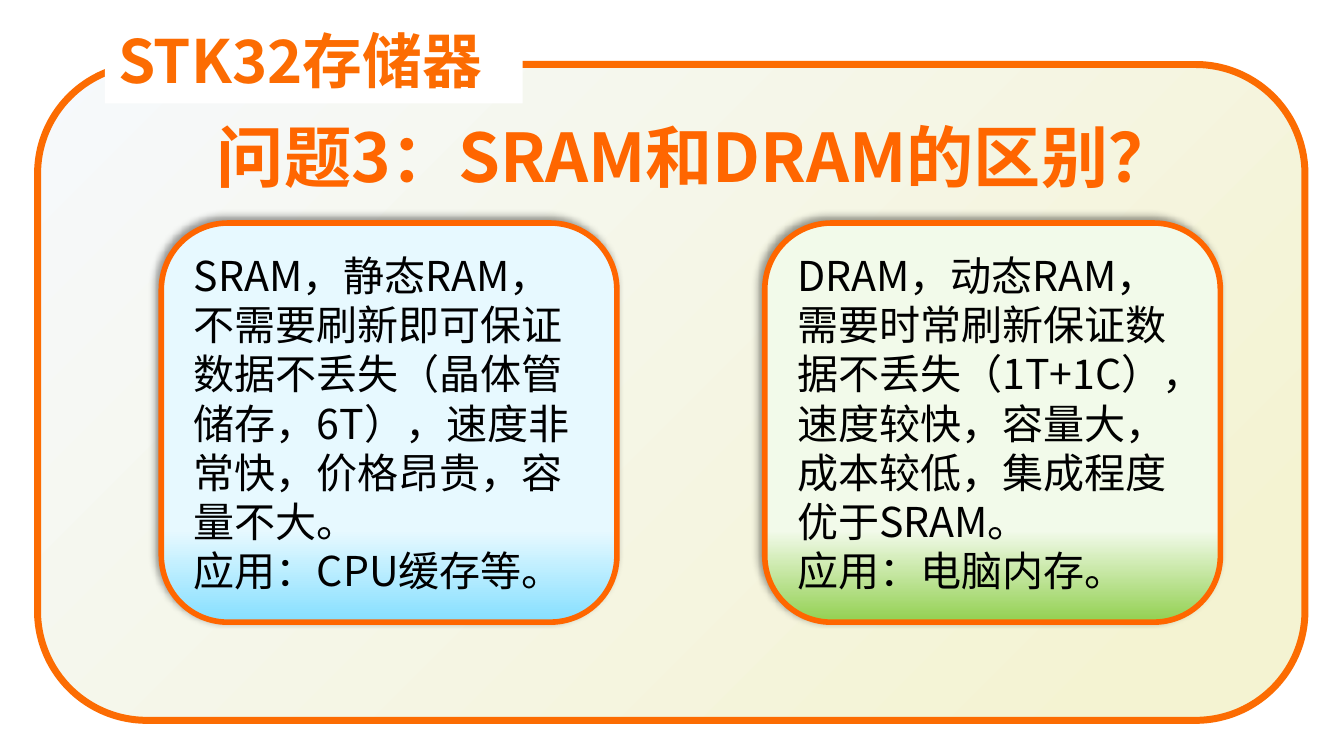
from lxml import etree
from pptx import Presentation
from pptx.dml.color import RGBColor
from pptx.enum import shapes, text
from pptx.oxml import parse_xml
from pptx.oxml.ns import nsdecls, qn
from pptx.util import Inches, Pt

FONT = "Noto Sans CJK SC"
ORANGE = RGBColor(0xFC, 0x6C, 0x02)
DEEP_ORANGE = RGBColor(0xFF, 0x66, 0x00)
WHITE = RGBColor(0xFF, 0xFF, 0xFF)
BLACK = RGBColor(0, 0, 0)
MIST = RGBColor(0xF6, 0xF9, 0xFC)
CREAM = RGBColor(0xF4, 0xF3, 0xD2)
SKY = RGBColor(0x85, 0xDF, 0xFF)
PALE_SKY = RGBColor(0xE7, 0xF9, 0xFF)
GREEN = RGBColor(0x92, 0xD0, 0x50)
PALE_GREEN = RGBColor(0xF2, 0xFA, 0xEA)


def add_gradient_box(s, box, stops, angle, line, width):
    """Rounded box; angle runs counter-clockwise from left-to-right."""
    sp = s.shapes.add_shape(shapes.MSO_SHAPE.ROUNDED_RECTANGLE, *map(Inches, box))
    sp.shadow.inherit = False
    sp.fill.gradient()
    sp.fill.gradient_angle = angle
    for stop, (position, color) in zip(sp.fill.gradient_stops, stops):
        stop.position = position
        stop.color.rgb = color
    sp.line.color.rgb = line
    sp.line.width = Pt(width)
    return sp


def format_text(tf, size, color, align, outline=None):
    """Format every run; outline is the width in points of a white edge."""
    for p in tf.paragraphs:
        p.alignment = align
        for r in p.runs:
            r.font.size = Pt(size)
            r.font.name = FONT
            r.font.color.rgb = color
            rPr = r.font._element
            etree.SubElement(rPr, qn("a:ea")).set("typeface", FONT)
            if outline:
                r.font.bold = True
                rPr.insert(0, parse_xml(
                    f'<a:ln {nsdecls("a")} w="{Pt(outline)}"><a:solidFill>'
                    f'<a:srgbClr val="{WHITE}"/></a:solidFill></a:ln>'))


prs = Presentation()
prs.slide_width = Inches(10)
prs.slide_height = prs.slide_width * 9 // 16
s = prs.slides.add_slide(prs.slide_layouts[6])

# Frame with its heading set into the top edge
add_gradient_box(s, (0.28, 0.48, 9.43, 4.88), [(0, MIST), (0.9, CREAM)], 315, ORANGE, 3.75)

heading = s.shapes.add_textbox(Inches(0.78), Inches(0.13), Inches(3.11), Inches(0.64))
heading.fill.solid()
heading.fill.fore_color.rgb = WHITE
heading.text_frame.text = "STK32存储器"
heading.text_frame.word_wrap = False
format_text(heading.text_frame, 32, ORANGE, text.PP_ALIGN.LEFT, 0.8)

question = s.shapes.add_textbox(Inches(1.3), Inches(0.81), Inches(7.76), Inches(0.71))
tf = question.text_frame
tf.text = "问题3：SRAM和DRAM的区别？"
tf.word_wrap = True
tf.margin_left = tf.margin_right = Inches(0.3)
format_text(tf, 36, DEEP_ORANGE, text.PP_ALIGN.CENTER, 0.75)

# One card per memory type
cards = [
    (1.2, SKY, PALE_SKY,
     "SRAM，静态RAM，不需要刷新即可保证数据不丢失（晶体管储存，6T），速度非常快，价格昂贵，容量不大。\n"
     "应用：CPU缓存等。"),
    (5.69, GREEN, PALE_GREEN,
     "DRAM，动态RAM，需要时常刷新保证数据不丢失（1T+1C），速度较快，容量大，成本较低，集成程度优于SRAM。\n"
     "应用：电脑内存。"),
]
for left, base, pale, words in cards:
    sp = add_gradient_box(s, (left, 1.66, 3.39, 2.97), [(0, base), (0.23, pale)],
                          90, DEEP_ORANGE, 3)
    effects = sp._element.spPr.find(qn("a:effectLst"))
    effects.append(parse_xml(
        f'<a:outerShdw {nsdecls("a")} blurRad="{Pt(4)}" dist="{Pt(3)}" dir="{225 * 60000}" '
        f'algn="br" rotWithShape="0"><a:srgbClr val="{BLACK}"><a:alpha val="40000"/>'
        '</a:srgbClr></a:outerShdw>'))
    tf = sp.text_frame
    tf.text = words
    tf.word_wrap = True
    tf.vertical_anchor = text.MSO_ANCHOR.MIDDLE
    format_text(tf, 22, BLACK, text.PP_ALIGN.LEFT)

prs.save("out.pptx")
